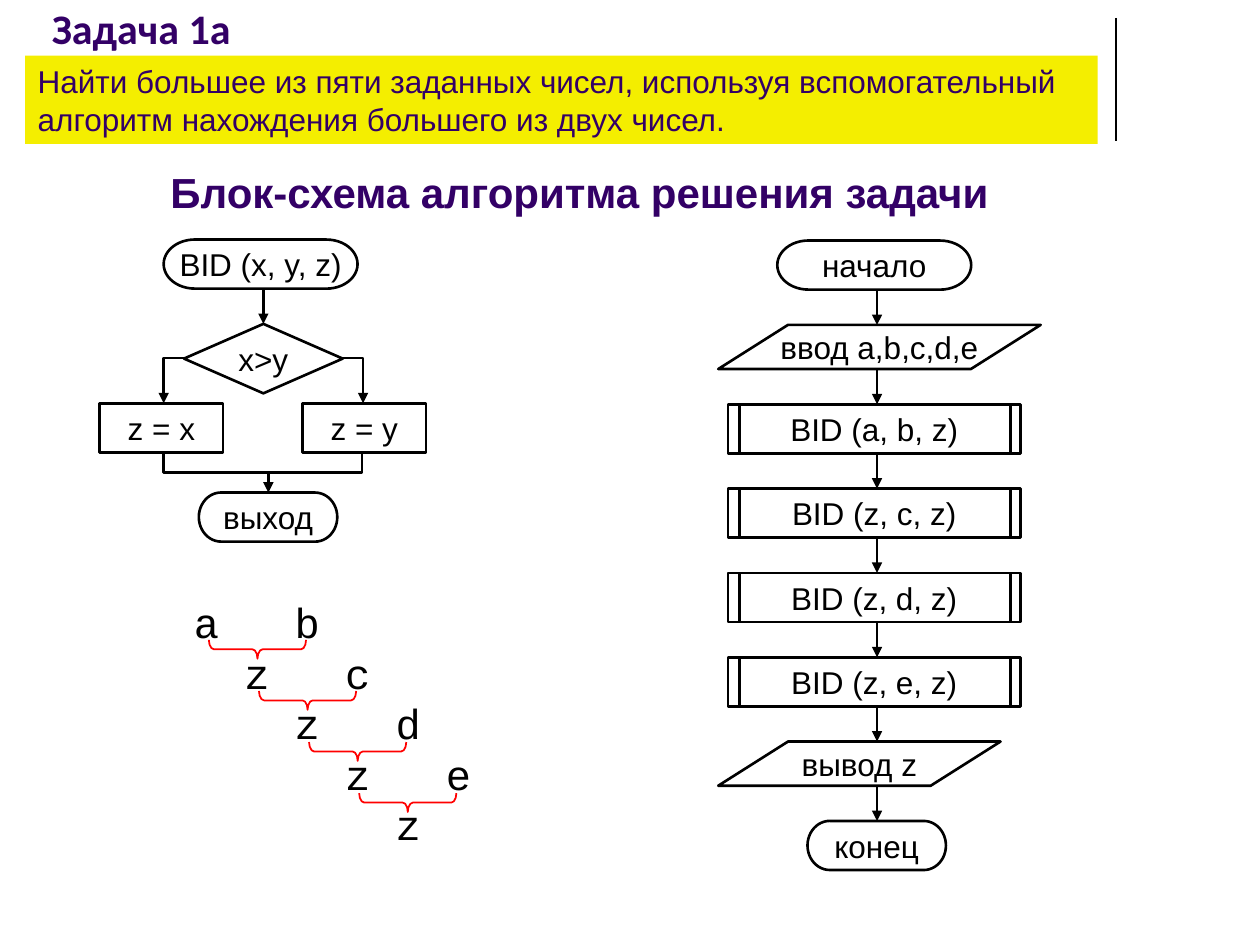
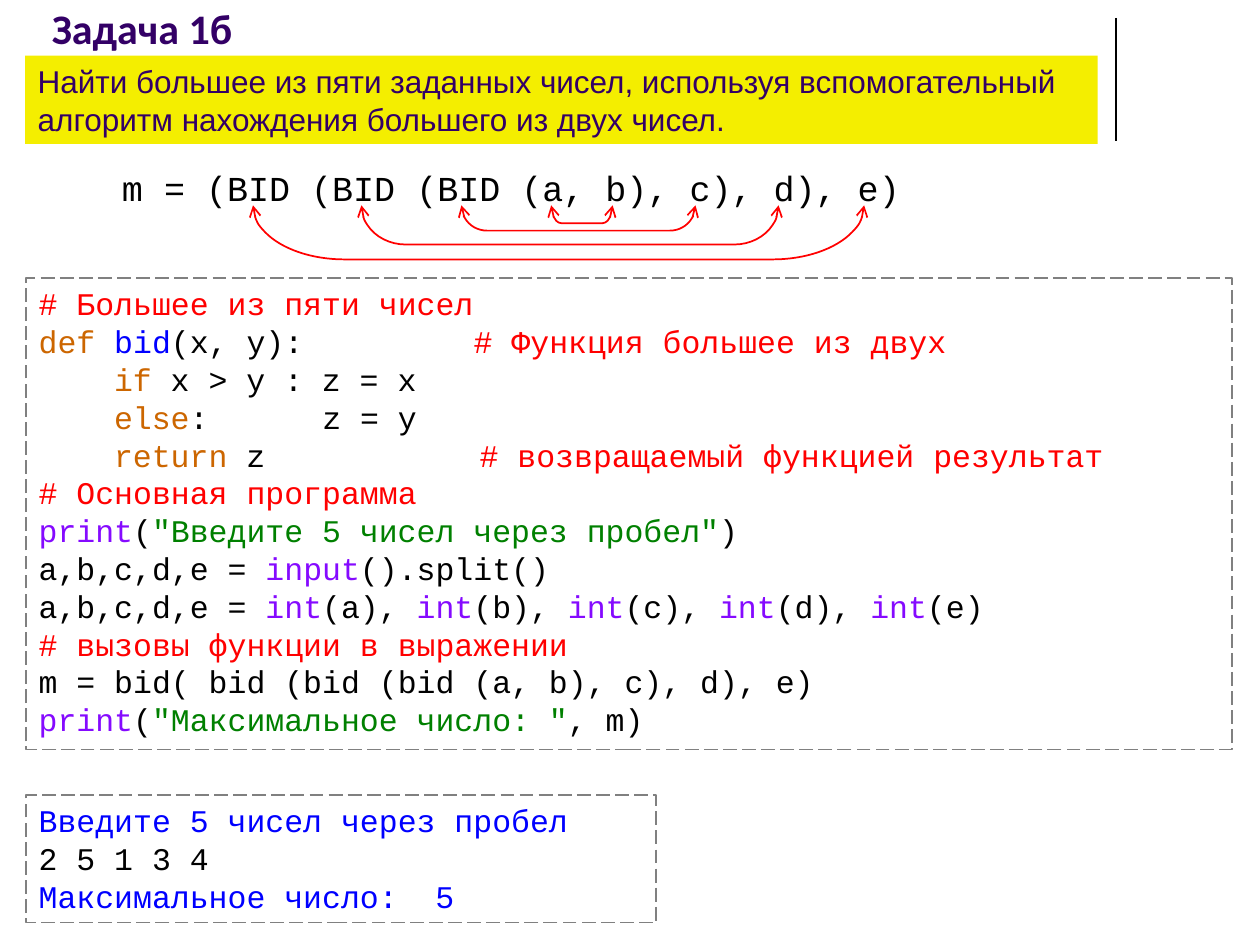
from lxml.etree import SubElement
from pptx import Presentation
from pptx.dml.color import RGBColor
from pptx.enum.dml import MSO_LINE
from pptx.enum.shapes import MSO_CONNECTOR, MSO_SHAPE
from pptx.enum.text import MSO_ANCHOR, MSO_AUTO_SIZE, PP_ALIGN
from pptx.oxml.ns import qn
from pptx.util import Cm, Pt

INK = {"black": "000000", "plum": "330066", "band": "F4EE00", "red": "FF0000",
       "blue": "0000FF", "word": "CC6600", "call": "850AFF", "green": "008000",
       "grey": "808080", "white": "FFFFFF"}
HUE = {name: RGBColor.from_string(code) for name, code in INK.items()}

HEAD = {"name": "Calibri", "size": Pt(24), "bold": True}
LEAD = {"name": "Arial", "size": Pt(24), "bold": True}
BODY = {"name": "Arial", "size": Pt(18)}
CODE = {"name": "Courier New", "size": Pt(18)}
CALL = {"name": "Courier New", "size": Pt(20)}
TREE = {"name": "Courier New", "size": Pt(24)}
MID = {"align": PP_ALIGN.CENTER, "anchor": MSO_ANCHOR.MIDDLE, "wrap": False}


def put(slide, kind, box, rows=(), form=BODY, pen=None, thick=1.5, fill=None,
        align=PP_ALIGN.LEFT, anchor=MSO_ANCHOR.TOP, wrap=True):
    """Add a shape (or a text box if kind is None); a row is (tab stops, runs)."""
    spot = [Cm(v) for v in box]
    if kind is None:
        shape = slide.shapes.add_textbox(*spot)
    else:
        shape = slide.shapes.add_shape(kind, *spot)
        shape.shadow.inherit = False
    if fill:
        shape.fill.solid()
        shape.fill.fore_color.rgb = HUE[fill]
    else:
        shape.fill.background()
    if pen:
        shape.line.color.rgb = HUE[pen]
        shape.line.width = Pt(thick)
    else:
        shape.line.fill.background()
    frame = shape.text_frame
    frame.word_wrap = wrap
    frame.vertical_anchor = anchor
    for i, (stops, runs) in enumerate(rows):
        para = frame.add_paragraph() if i else frame.paragraphs[0]
        para.alignment = align
        if stops:
            tabs = SubElement(para._p.get_or_add_pPr(), qn("a:tabLst"))
            for stop in stops:
                SubElement(tabs, qn("a:tab"), pos=str(Cm(stop)), algn="l")
        for ink, text in runs:
            run = para.add_run()
            run.text = text
            run.font.color.rgb = HUE[ink]
            for key, val in form.items():
                setattr(run.font, key, val)
    return shape


def link(slide, spots, tip=True, thick=1.5):
    """Join the spots with a straight connector or a bent outline."""
    spots = [(Cm(x), Cm(y)) for x, y in spots]
    if len(spots) == 2:
        path = slide.shapes.add_connector(MSO_CONNECTOR.STRAIGHT, *spots[0], *spots[1])
    else:
        pen = slide.shapes.build_freeform(*spots[0])
        pen.add_line_segments(spots[1:], close=False)
        path = pen.convert_to_shape()
        path.fill.background()
    path.line.color.rgb = HUE["black"]
    path.line.width = Pt(thick)
    if tip:
        SubElement(path.element.xpath(".//a:ln")[0], qn("a:tailEnd"), type="triangle")
    SubElement(path.element.spPr, qn("a:effectLst"))


deck = Presentation()
deck.slide_width, deck.slide_height = Cm(25.4), Cm(19.05)

# Shared title, task band and divider
TASK = ("Найти большее из пяти заданных чисел, используя вспомогательный "
        "алгоритм нахождения большего из двух чисел.")
pages = []
for name in ("Задача 1а", "Задача 1б"):
    page = deck.slides.add_slide(deck.slide_layouts[5])
    title = page.shapes.title
    place = {"left": Cm(0.79), "top": Cm(0), "width": Cm(20.96), "height": Cm(1.19)}
    for key, val in place.items():
        setattr(title, key, val)
    frame = title.text_frame
    frame.text = name
    frame.auto_size = MSO_AUTO_SIZE.NONE
    frame.vertical_anchor = MSO_ANCHOR.BOTTOM
    para = frame.paragraphs[0]
    para.alignment = PP_ALIGN.LEFT
    para.font.color.rgb = HUE["plum"]
    for key, val in HEAD.items():
        setattr(para.font, key, val)
    put(page, MSO_SHAPE.RECTANGLE, (0.51, 1.12, 21.62, 1.78),
        [((), [("plum", TASK)])], fill="band")
    link(page, [(22.5, 0.36), (22.5, 2.84)], tip=False, thick=0.75)
    pages.append(page)
flow, prog = pages

# Slide 1: heading
put(flow, None, (2.39, 3.23, 18.59, 1.27),
    [((), [("plum", "Блок-схема алгоритма решения задачи")])], LEAD, align=PP_ALIGN.CENTER)

# Flowchart of the helper algorithm
TERM, RECT, SLANT = (MSO_SHAPE.FLOWCHART_TERMINATOR, MSO_SHAPE.RECTANGLE,
                     MSO_SHAPE.PARALLELOGRAM)
for kind, box, text in (
        (TERM, (3.3, 4.83, 3.91, 0.99), "BID (x, y, z)"),
        (MSO_SHAPE.FLOWCHART_DECISION, (3.71, 6.53, 3.2, 1.4), "x>y"),
        (RECT, (2.01, 8.13, 2.49, 0.99), "z = x"),
        (RECT, (6.1, 8.13, 2.49, 0.99), "z = y"),
        (TERM, (4.01, 9.93, 2.79, 0.99), "выход")):
    put(flow, kind, box, [((), [("black", text)])], pen="black", **MID)
link(flow, [(5.31, 5.82), (5.31, 6.53)])
link(flow, [(3.71, 7.22), (3.3, 7.22), (3.3, 8.13)])
link(flow, [(6.91, 7.22), (7.32, 7.22), (7.32, 8.13)])
link(flow, [(3.3, 9.12), (3.3, 9.53), (7.3, 9.53), (7.3, 9.12)], tip=False)
link(flow, [(5.41, 9.53), (5.41, 9.93)])

# Flowchart of the main algorithm, stacked with equal gaps
gap, top = 0.71, 4.85
steps = [(TERM, 15.67, 3.91, "начало"), (SLANT, 14.48, 6.5, "ввод a,b,c,d,e")]
steps += [(RECT, 14.68, 5.89, f"BID ({pair}, z)") for pair in ("a, b", "z, c", "z, d", "z, e")]
steps += [(SLANT, 14.48, 5.69, "вывод z"), (TERM, 16.28, 2.79, "конец")]
for i, (kind, left, wide, text) in enumerate(steps):
    high = 0.89 if kind == SLANT else 0.99
    node = put(flow, kind, (left, top, wide, high), [((), [("black", text)])],
               pen="black", **MID)
    if kind == SLANT:
        node.adjustments[0] = 1.58
    if kind == RECT:
        for x in (14.91, 20.37):
            link(flow, [(x, top), (x, top + high)], tip=False)
    if i:
        link(flow, [(17.68, top - gap), (17.68, top)])
    top += high + gap

# Cascade of pairs with braces
cell = 1.016
rows = [((2 * cell,), [("black", "a\tb")])]
rows += [((i * cell, (i + 2) * cell), [("black", f"\tz\t{mark}")])
         for i, mark in enumerate("cde", 1)]
rows += [((4 * cell,), [("black", "\tz")])]
put(flow, None, (3.66, 11.91, 6.5, 5.38), rows, TREE)
wide, deep = 1.96, 0.38
for i in range(4):
    mid, top = 5.19 + 1.01 * i, 12.9 + 1.03 * i
    brace = put(flow, MSO_SHAPE.RIGHT_BRACE,
                (mid - deep / 2, top + deep / 2 - wide / 2, deep, wide), pen="red", thick=1)
    brace.rotation = 90
    brace.adjustments[0] = 0.27

# Slide 2: program text
wide = 24.31
code = [
    ((), [("red", "# Большее из пяти чисел")]),
    ((8.77,), [("word", "def "), ("blue", "bid"), ("black", "(x, y):\t"),
               ("red", "# Функция большее из двух")]),
    ((1.52,), [("word", "\tif"), ("black", " x > y : z = x")]),
    ((1.52, 5.72), [("word", "\telse"), ("black", ":\tz = y")]),
    ((1.52, 8.89), [("word", "\treturn"), ("black", " z\t"),
                    ("red", "# возвращаемый функцией результат")]),
    ((), [("red", "# Основная программа")]),
    ((), [("call", "print"), ("black", "("),
          ("green", '"Введите 5 чисел через пробел"'), ("black", ")")]),
    ((), [("black", "a,b,c,d,e = "), ("call", "input"), ("black", "().split()")]),
    ((), [("black", "a,b,c,d,e = ")] + [
        pair for mark in "abcde"
        for pair in (("call", "int"), ("black", f"({mark})" + (", " if mark != "e" else "")))]),
    ((), [("red", "# вызовы функции в выражении")]),
    ((), [("black", "m = bid( bid (bid (bid (a, b), c), d), e)")]),
    ((), [("call", "print"), ("black", "("),
          ("green", '"Максимальное число: "'), ("black", ", m)")]),
]

# Program output
out = [((), [("blue", "Введите 5 чисел через пробел")]),
       ((), [("black", "2 5 1 3 4")]),
       ((8,), [("blue", "Максимальное число:\t5")])]
for box, rows, fill in (((0.53, 5.61, wide, 9.5), code, "white"),
                        ((0.53, 16.03, 12.7, 2.57), out, None)):
    pane = put(prog, RECT, box, rows, CODE, pen="grey", thick=1, fill=fill)
    pane.line.dash_style = MSO_LINE.LONG_DASH

# Nested calls with brackets
put(prog, None, (2.21, 3.23, 16.76, 1.12),
    [((), [("black", "m = (BID (BID (BID (a, b), c), d), e)")])], CALL)
for mid, wide, deep, bend in ((11.73, 1.24, 0.36, 0.57), (11.66, 4.72, 0.51, 1.01),
                              (11.49, 8.41, 0.79, 1.13), (11.26, 12.32, 1.09, 1.69)):
    hook = put(prog, MSO_SHAPE.RIGHT_BRACKET,
               (mid - deep / 2, 4.14 + deep / 2 - wide / 2, deep, wide), pen="red", thick=1)
    hook.rotation = 90
    hook.adjustments[0] = bend
    for end in ("headEnd", "tailEnd"):
        SubElement(hook.element.xpath(".//a:ln")[0], qn(f"a:{end}"), type="arrow")

deck.save("out.pptx")
